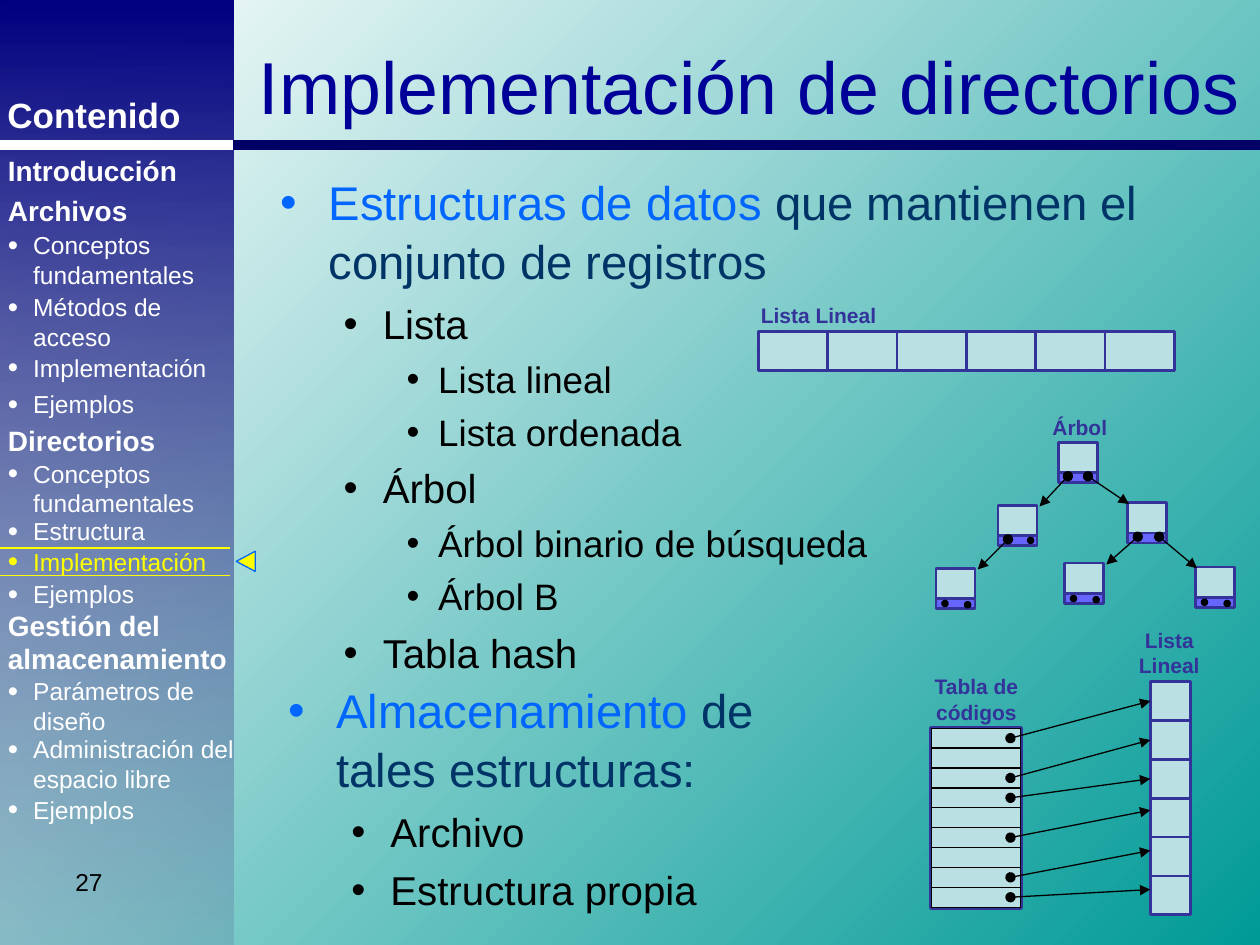
from typing import NamedTuple
from lxml.etree import SubElement as Sub
from pptx import Presentation
from pptx.dml.color import RGBColor as Rgb
from pptx.enum.shapes import MSO_CONNECTOR as Link, MSO_SHAPE as Form
from pptx.enum.text import MSO_ANCHOR as Anchor, MSO_AUTO_SIZE as Auto, PP_ALIGN as Align
from pptx.oxml.ns import qn
from pptx.util import Inches, Pt


class Theme:
    font = "Arial"
    white, black, yellow = "FFFFFF", "000000", "FFFF00"
    teal, navy, dusk, band = "009A96", "000080", "545490", "000066"
    title, key, body = "000099", "0066FF", "003366"
    edge, cell, foot = "333399", "BBE0E3", "6666FF"
    huge, big, mid, low = 42, 27, 23, 21
    top, head, item, label = 20, 16, 14, 12
    thin, firm, bold, bar = 0.75, 1.5, 3, 6


WIDE, HIGH = Inches(10), Inches(7.5)
COLS, ROWS = 100, 75


def col(n):
    return round(WIDE * n / COLS)


def row(n):
    return round(HIGH * n / ROWS)


class Box(NamedTuple):
    x: float
    y: float
    w: float
    h: float

    def sub(self, x, y, w, h):
        return Box(self.x + x, self.y + y, w, h)

    def spot(self, x, y):
        return self.x + x, self.y + y

    def place(self):
        return col(self.x), row(self.y), col(self.w), row(self.h)


def put(item, **vals):
    for name, val in vals.items():
        setattr(item, name, val)


def ink(text):
    return Rgb.from_string(text)


def blend(fill, first, last, angle):
    fill.gradient()
    fill.gradient_angle = angle
    for stop, tone in zip(fill.gradient_stops, (first, last)):
        stop.color.rgb = ink(tone)


def shape(home, box, fill, edge=None, wide=Theme.firm, form=Form.RECTANGLE):
    item = home.add_shape(form, *box.place())
    item.shadow.inherit = False
    if fill:
        item.fill.solid()
        item.fill.fore_color.rgb = ink(fill)
    if edge:
        item.line.color.rgb = ink(edge)
        item.line.width = Pt(wide)
    else:
        item.line.fill.background()
    return item


def line(home, start, end, tone=Theme.black, wide=Theme.thin, arrow=False):
    item = home.add_connector(Link.STRAIGHT, col(start[0]), row(start[1]), col(end[0]), row(end[1]))
    item.line.color.rgb = ink(tone)
    item.line.width = Pt(wide)
    if arrow:
        for tag, kind in (("a:headEnd", "oval"), ("a:tailEnd", "triangle")):
            Sub(item.line._get_or_add_ln(), qn(tag), type=kind)
    Sub(item._element.spPr, qn("a:effectLst"))
    return item


def text(home, box, paras, frame=None, **form):
    area = home.add_textbox(*box.place()).text_frame
    put(area, word_wrap=True, **(frame or {}))
    for n, (runs, marks) in enumerate(paras):
        para = area.paragraphs[0] if n == 0 else area.add_paragraph()
        put(para, **form)
        for words, size, tone, *bold in runs:
            run = para.add_run()
            run.text = words
            put(run.font, name=Theme.font, size=Pt(size), bold=bool(bold))
            run.font.color.rgb = ink(tone)
        if n:
            para.space_before = Pt(0.2 * runs[0][1])
        if marks:
            left, hang, scale = marks
            props = para._p.get_or_add_pPr()
            put_xml = {"marL": col(left), "indent": -col(hang)}
            for name, val in put_xml.items():
                props.set(name, str(val))
            Sub(props, qn("a:buSzPct"), val=str(scale * 1000))
            Sub(props, qn("a:buFont"), typeface=Theme.font)
            Sub(props, qn("a:buChar"), char="•")


FIT = {"auto_size": Auto.SHAPE_TO_FIT_TEXT}
LEVELS = (3.8, 3.8, 100), (8.1, 3.1, 100), (12.5, 2.5, 100)
SIZES = Theme.big, Theme.mid, Theme.low


def label(home, box, words, align=Align.CENTER):
    text(home, box, [([(words, Theme.label, Theme.edge, True)], None)], FIT, alignment=align)


def points(home, box, lead, rest, items):
    paras = [([(lead, Theme.big, Theme.key), (rest, Theme.big, Theme.body)], LEVELS[0])]
    paras += [([(words, SIZES[n], Theme.black)], LEVELS[n]) for n, words in items]
    text(home, box, paras, line_spacing=1.04)


def frame(home, box, side):
    panel = shape(home, box.sub(0, 0, side, box.h), None)
    blend(panel.fill, Theme.navy, Theme.dusk, 270)
    tone = panel._element.xpath(".//a:gs[2]/a:srgbClr")[0]
    Sub(tone, qn("a:alpha"), val="19000")
    line(home, box.spot(side, 11.5), box.spot(box.w, 11.5), Theme.band, Theme.bar)
    line(home, box.spot(0, 11.5), box.spot(side, 11.5), Theme.white, Theme.bar)
    text(home, box.sub(-0.4, 6.9, 16.5, 4.3), [([("Contenido", Theme.top, Theme.white, True)], None)], FIT)
    text(home, box.sub(5, 68.3, 23.3, 5.2), [([("27", Theme.item, Theme.black)], None)])
    title = [([("Implementación de directorios", Theme.huge, Theme.title)], None)]
    text(home, box.sub(16.9, 0.5, 85.1, 12.5), title, {"vertical_anchor": Anchor.MIDDLE}, alignment=Align.CENTER)


def menu(home, box):
    heads = (11.7, 3.7, "Introducción"), (14.9, 3.7, "Archivos"), (33.1, 3.7, "Directorios"), \
        (47.8, 6.4, "Gestión del almacenamiento")
    items = (17.8, 5.7, "Conceptos fundamentales"), (22.7, 5.7, "Métodos de acceso"), \
        (27.5, 3.3, "Implementación"), (30.4, 3.3, "Ejemplos"), \
        (35.9, 5.7, "Conceptos fundamentales"), (40.5, 3.3, "Estructura"), \
        (42.9, 3.3, "Implementación"), (45.5, 3.3, "Ejemplos"), \
        (53.2, 5.7, "Parámetros de diseño"), (57.8, 5.7, "Administración del espacio libre"), \
        (62.6, 3.3, "Ejemplos")
    here = 42.9
    for y, h, words in heads:
        text(home, box.sub(-0.35, y, 22, h), [([(words, Theme.head, Theme.white, True)], None)], FIT)
    for y, h, words in items:
        tone = Theme.yellow if y == here else Theme.white
        text(home, box.sub(-0.35, y, 20.5, h), [([(words, Theme.item, tone)], (2, 2, 120))], FIT)
    for y in (here + 0.6, here + 2.8):
        line(home, box.spot(-0.25, y), box.spot(18.25, y), Theme.yellow)
    mark = shape(home, box.sub(18.7, here + 0.9, 1.6, 1.5), Theme.yellow, Theme.key,
                 Theme.thin, Form.ISOSCELES_TRIANGLE)
    mark.rotation = 270


def strip(home, box, count, down=False, edge=Theme.edge, wide=Theme.firm):
    w, h = (box.w, box.h / count) if down else (box.w / count, box.h)
    group = home.add_group_shape().shapes
    return [shape(group, box.sub(0 if down else n * w, n * h if down else 0, w, h),
                  Theme.cell, edge, wide) for n in range(count)]


def node(home, box, dots):
    group = home.add_group_shape().shapes
    shape(group, box.sub(0, 0, 3.1, 2.4), Theme.cell, Theme.edge)
    shape(group, box.sub(0, 2.4, 3.1, 0.8), Theme.foot, Theme.edge)
    for x, y in dots:
        shape(group, box.sub(x, y, 0.6, 0.6), Theme.black, form=Form.OVAL)


def tree(home, box):
    label(home, box.sub(6.3, 0, 10.2, 3), "Árbol")
    pair = (0.4, 2.5), (2.2, 2.6)
    spots = {"root": (9.7, 2.7, ()), "left": (4.9, 7.7, ((2.3, 2.5),)), "right": (15.2, 7.5, ()),
             "leaf a": (0, 12.7, pair), "leaf b": (10.2, 12.3, pair), "leaf c": (20.6, 12.6, pair)}
    for x, y, dots in spots.values():
        node(home, box.sub(x, y, 3.1, 3.2), dots)
    links = ("root", "left", 0.75), ("root", "right", 2.35), ("left", "leaf a", 0.8), \
        ("right", "leaf b", 0.8), ("right", "leaf c", 2.5)
    for base, kid, x in links:
        (bx, by, _), (kx, ky, _) = spots[base], spots[kid]
        side = 3.3 if x < 1.5 else 0.1
        line(home, box.spot(bx + x, by + 2.7), box.spot(kx + side, ky + 0.1), arrow=True)


def table(home, box):
    label(home, box.sub(-1.9, 3.7, 11, 5), "Tabla de códigos")
    label(home, box.sub(13.5, 0, 10.8, 5), "Lista Lineal")
    codes = box.sub(0, 8.5, 7.1, 14.2)
    shape(home, codes, Theme.cell, Theme.edge, Theme.bold)
    strip(home, codes, 9, True, Theme.black, Theme.thin)
    goal = box.sub(17.4, 4.8, 3.2, 18.5)
    cells = strip(home, goal, 6, True)
    ends = (0, 1.6), (2, 4.7), (3, 7.9), (5, 10.2), (7, 13.4), (8, 16.5)
    for n, (code, y) in enumerate(ends):
        start = codes.spot(6.3, (code + 0.5) * codes.h / 9)
        arrow = line(home, start, goal.spot(0, y), arrow=True)
        if abs(y - (n + 0.5) * goal.h / 6) < 0.25:
            arrow.end_connect(cells[n], 1)


def main():
    deck = Presentation()
    put(deck, slide_width=WIDE, slide_height=HIGH)
    slide = deck.slides.add_slide(deck.slide_layouts[6])
    blend(slide.background.fill, Theme.white, Theme.teal, 315)
    home = slide.shapes
    frame(home, Box(0, 0, COLS, ROWS), 18.5)
    points(home, Box(21.3, 13.1, 77.7, 41.7), "Estructuras de datos", " que mantienen el conjunto de registros",
           [(1, "Lista"), (2, "Lista lineal"), (2, "Lista ordenada"), (1, "Árbol"),
            (2, "Árbol binario de búsqueda"), (2, "Árbol B"), (1, "Tabla hash")])
    points(home, Box(21.9, 53.4, 47, 21.8), "Almacenamiento", " de tales estructuras:",
           [(1, "Archivo"), (1, "Estructura propia")])
    label(home, Box(59.4, 23.5, 17.3, 3), "Lista Lineal", Align.LEFT)
    strip(home, Box(60.2, 26.3, 33, 3.1), 6)
    tree(home, Box(74.3, 32.4, 23.7, 15.9))
    table(home, Box(73.9, 49.3, 20.6, 23.3))
    menu(home, Box(0, 0, 18.5, ROWS))
    deck.save("out.pptx")


if __name__ == "__main__":
    main()
